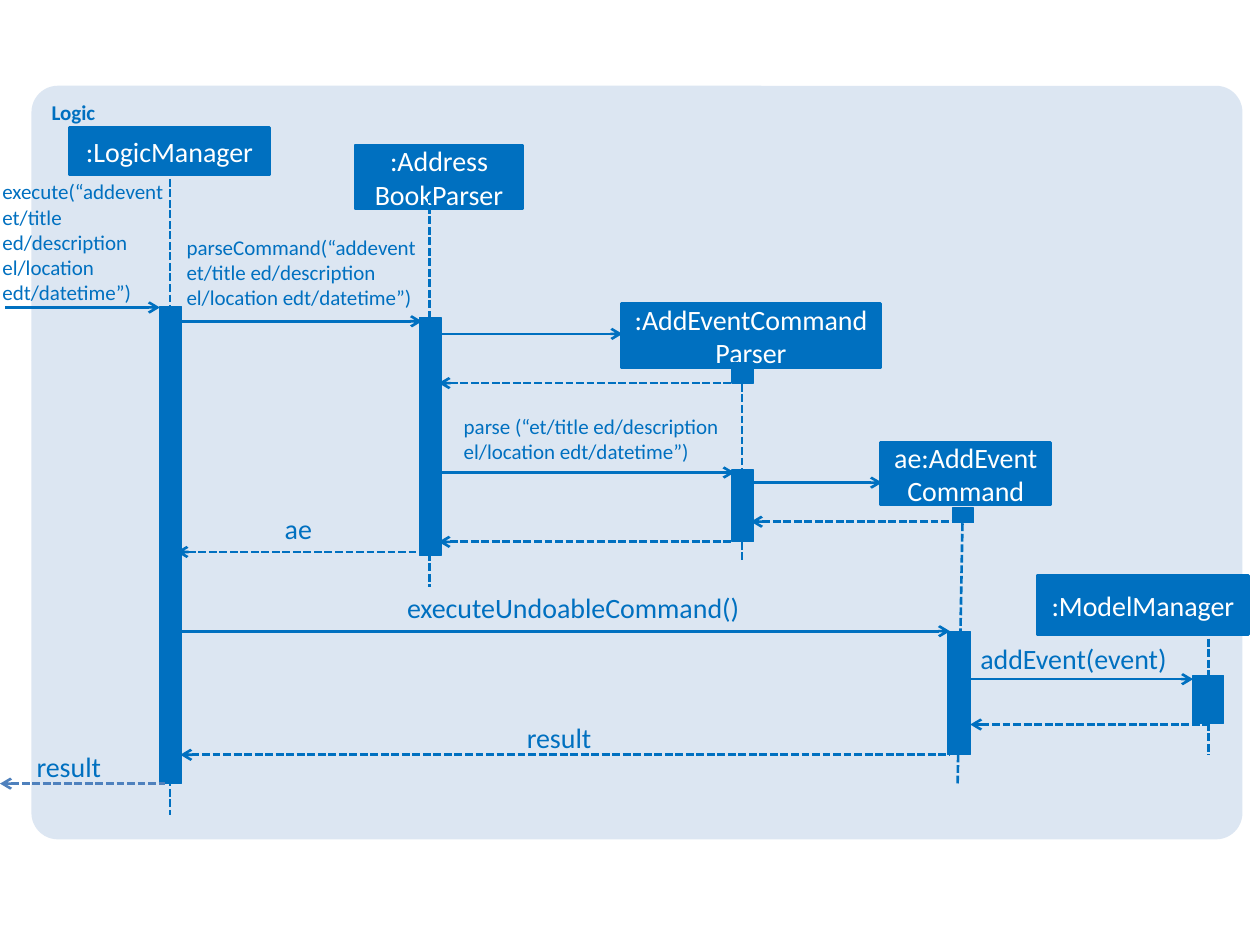
"""Build the sequence diagram for adding an event through the Logic component."""
from lxml.etree import SubElement
from pptx import Presentation
from pptx.dml.color import RGBColor
from pptx.enum.dml import MSO_LINE
from pptx.enum.shapes import MSO_CONNECTOR, MSO_SHAPE
from pptx.enum.text import MSO_ANCHOR, MSO_AUTO_SIZE, PP_ALIGN
from pptx.oxml.ns import qn
from pptx.util import Pt

COLORS = {"panel": "DCE6F2", "main": "0070C0", "exit": "4F81BD", "white": "FFFFFF"}


def write_text(frame, text, size=16, color="main", bold=False,
               align=PP_ALIGN.LEFT, anchor=MSO_ANCHOR.TOP):
    frame.word_wrap = True
    frame.vertical_anchor = anchor
    for index, line in enumerate(text.split("\n")):
        paragraph = frame.add_paragraph() if index else frame.paragraphs[0]
        paragraph.text = line
        paragraph.alignment = align
        paragraph.font.name = "Calibri"
        paragraph.font.size = Pt(size)
        paragraph.font.bold = bold
        paragraph.font.color.rgb = RGBColor.from_string(COLORS[color])


def add_line(start, end, color="main", dashed=False, arrow=None):
    connector = slide.shapes.add_connector(
        MSO_CONNECTOR.STRAIGHT, *[Pt(value) for value in (*start, *end)])
    connector.line.width = Pt(1.5)
    connector.line.color.rgb = RGBColor.from_string(COLORS[color])
    if dashed:
        connector.line.dash_style = MSO_LINE.SQUARE_DOT
    properties = connector._element.spPr
    if arrow:
        SubElement(properties.find(qn("a:ln")), qn(f"a:{arrow}"), type="arrow")
    SubElement(properties, qn("a:effectLst"))


presentation = Presentation()
presentation.slide_width, presentation.slide_height = Pt(720), Pt(540)
slide = presentation.slides.add_slide(presentation.slide_layouts[6])

panel = slide.shapes.add_shape(
    MSO_SHAPE.ROUNDED_RECTANGLE, Pt(18), Pt(49), Pt(692), Pt(430.6))
panel.adjustments[0] = 0.035
panel.shadow.inherit = False
panel.fill.solid()
panel.fill.fore_color.rgb = RGBColor.from_string(COLORS["panel"])
panel.line.fill.background()
write_text(panel.text_frame, "Logic", size=12, bold=True)

participants = [
    (":LogicManager", 39.6, 72.7, 114.5, 27.4),
    (":Address\nBookParser", 203, 82.8, 95.8, 36.7),
    (":AddEventCommandParser", 355, 173.5, 148.3, 36.7),
    ("ae:AddEvent\vCommand", 503.3, 252.7, 97.2, 36),
    (":ModelManager", 592.6, 329, 121, 33.8),
]
lifelines = [
    ((97.2, 102.2), (97.2, 465.8)),
    ((245.5, 111.6), (245.5, 335.5)),
    ((424.1, 207.4), (424.1, 321.1)),
    ((550.1, 293), (547.2, 448.6)),
    ((690.5, 365), (690.5, 431.3)),
]
activations = [
    ("", 91.4, 175, 12.2, 272.9),
    ("", 239.8, 181.4, 12.2, 136.1),
    ("", 418.3, 207.4, 12.2, 11.5),
    ("", 418.3, 268.6, 12.2, 41),
    ("", 544.3, 290.2, 12.2, 8.6),
    ("", 541.4, 360.7, 13, 70.6),
    ("", 681.8, 385.9, 17.3, 27.4),
]
for boxes, line_width in ((participants, 1.5), (activations, 0.75)):
    for name, *bounds in boxes:
        box = slide.shapes.add_shape(
            MSO_SHAPE.RECTANGLE, *[Pt(value) for value in bounds])
        box.shadow.inherit = False
        box.fill.solid()
        box.fill.fore_color.rgb = RGBColor.from_string(COLORS["main"])
        box.line.color.rgb = RGBColor.from_string(COLORS["main"])
        box.line.width = Pt(line_width)
        if name:
            write_text(box.text_frame, name, color="white",
                       align=PP_ALIGN.CENTER, anchor=MSO_ANCHOR.MIDDLE)
    if boxes is participants:
        for start, end in lifelines:
            add_line(start, end, dashed=True)

calls = [
    (2.9, 91.4, 175.7),
    (100.8, 241.2, 183.6),
    (250.6, 355.7, 190.8),
    (250.6, 419.8, 270),
    (430.6, 504, 275.8),
    (103, 542.9, 360.7),
    (555.1, 681.8, 388.1),
]
for left, right, y in calls:
    add_line((left, y), (right, y), arrow="tailEnd")

returns = [
    (250.6, 418.3, 218.9, "main"),
    (429.1, 544.3, 298.1, "main"),
    (250.6, 418.3, 309.6, "main"),
    (100.8, 238.3, 315.4, "main"),
    (554.4, 690.5, 414, "main"),
    (103, 542.9, 431.3, "main"),
    (0, 94.3, 447.8, "exit"),
]
for left, right, y, color in returns:
    add_line((left, y), (right, y), color=color, dashed=True, arrow="headEnd")

labels = [
    ("execute(“addevent et/title ed/description el/location edt/datetime”)",
     12, 1.4, 102.2, 93.6, 72.7),
    ("parseCommand(“addevent et/title ed/description el/location edt/datetime”)",
     12, 106.6, 133.9, 131.8, 43.9),
    ("parse (“et/title ed/description el/location edt/datetime”)",
     12, 265, 236.2, 153.4, 28.8),
    ("ae", 16, 162.7, 292.3, 17.3, 19.4),
    ("executeUndoableCommand()", 16, 232.6, 337.7, 197.3, 19.4),
    ("addEvent(event)", 16, 560.2, 366.5, 112.3, 19.4),
    ("result", 16, 301, 411.8, 49, 19.4),
    ("result", 16, 20.9, 428.4, 46.1, 19.4),
]
for text, size, *bounds in labels:
    frame = slide.shapes.add_textbox(*[Pt(value) for value in bounds]).text_frame
    frame.margin_left = frame.margin_right = 0
    frame.margin_top = frame.margin_bottom = 0
    frame.auto_size = MSO_AUTO_SIZE.SHAPE_TO_FIT_TEXT
    write_text(frame, text, size=size)

presentation.save("out.pptx")
